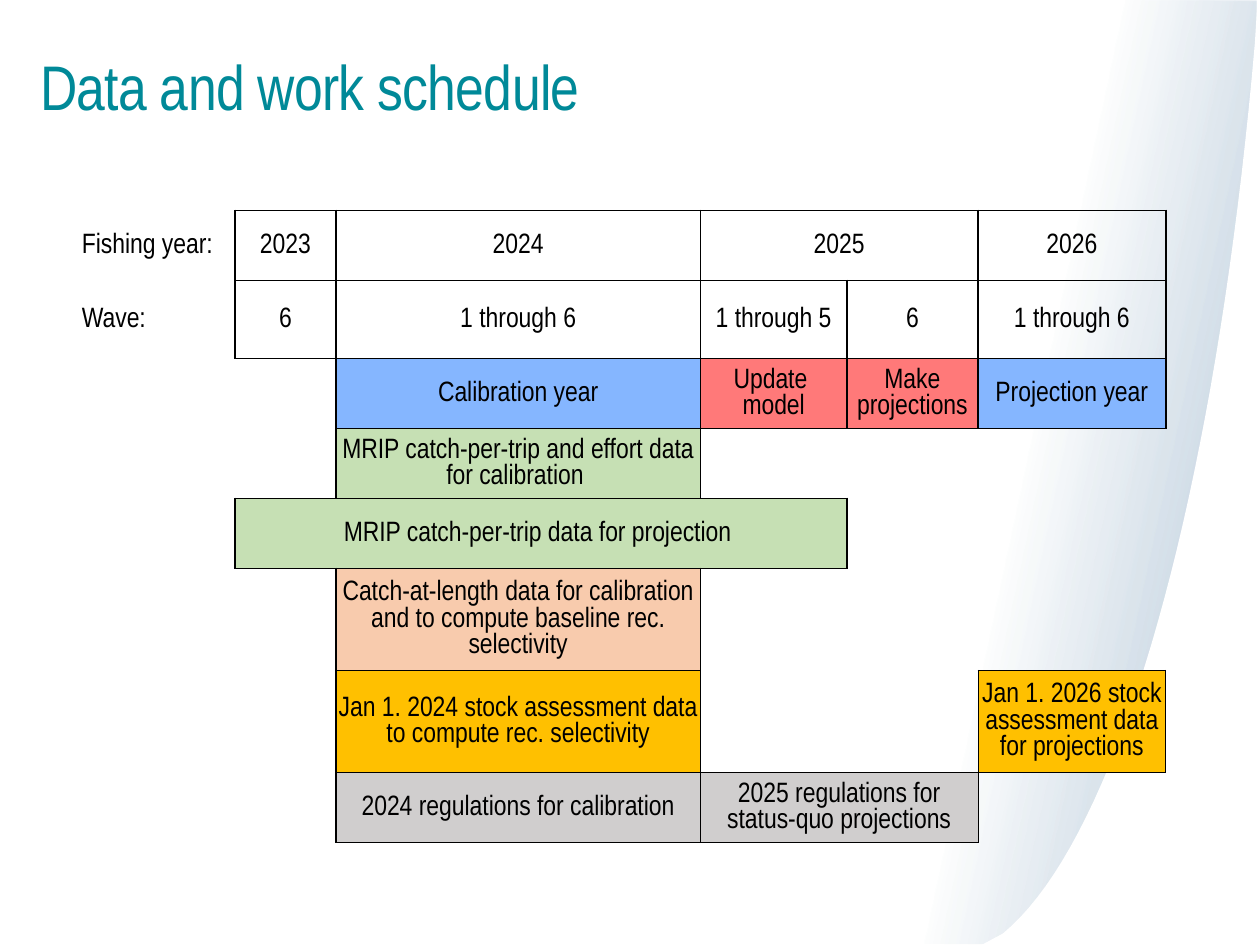
from lxml import etree
from pptx import Presentation
from pptx import util as u
from pptx.dml.color import RGBColor
from pptx.enum import text
from pptx.oxml.ns import qn

Pt = u.Pt
LEFT, CENTER = text.PP_ALIGN.LEFT, text.PP_ALIGN.CENTER
BLUE, RED, GREEN = "85B6FF", "FF7979", "C6E0B4"
PEACH, GOLD, GREY = "F8CBAD", "FFC000", "D0CECE"

COLS = [88.2, 57.7, 208.3, 83.7, 74.9, 107.4]
ROWS = [40, 44.6, 40, 40, 40, 40, 40, 40]
LABELS = ["Fishing year:", "Wave:"]
# (row, column, columns spanned, text, fill)
BOXES = [
    (0, 1, 1, "2023", None),
    (0, 2, 1, "2024", None),
    (0, 3, 2, "2025", None),
    (0, 5, 1, "2026", None),
    (1, 1, 1, "6", None),
    (1, 2, 1, "1 through 6", None),
    (1, 3, 1, "1 through 5", None),
    (1, 4, 1, "6", None),
    (1, 5, 1, "1 through 6", None),
    (2, 2, 1, "Calibration year", BLUE),
    (2, 3, 1, "Update \nmodel", RED),
    (2, 4, 1, "Make projections", RED),
    (2, 5, 1, "Projection year", BLUE),
    (3, 2, 1, "MRIP catch-per-trip and effort data for calibration ", GREEN),
    (4, 1, 3, "MRIP catch-per-trip data for projection ", GREEN),
    (5, 2, 1, "Catch-at-length data for calibration and to compute baseline rec. selectivity", PEACH),
    (6, 2, 1, "Jan 1. 2024 stock assessment data to compute rec. selectivity", GOLD),
    (6, 5, 1, "Jan 1. 2026 stock assessment data for projections", GOLD),
    (7, 2, 1, "2024 regulations for calibration", GREY),
    (7, 3, 2, "2025 regulations for status-quo projections", GREY),
]


def rgb(value):
    return RGBColor.from_string(value)


def curve(p0, p1, p2, p3, steps=40):
    """Points along a cubic Bezier, without its start."""
    points = []
    for i in range(1, steps + 1):
        t = i / steps
        weights = ((1 - t) ** 3, 3 * t * (1 - t) ** 2, 3 * t * t * (1 - t), t ** 3)
        points.append(tuple(sum(w * p[k] for w, p in zip(weights, (p0, p1, p2, p3)))
                            for k in (0, 1)))
    return points


def set_border(cell, side, width):
    """Draw one cell side (L, R, T or B) in black; width 0 hides it."""
    ln = etree.SubElement(cell._tc.get_or_add_tcPr(), qn(f"a:ln{side}"), w=str(Pt(width)))
    if width:
        fill = etree.SubElement(ln, qn("a:solidFill"))
        etree.SubElement(fill, qn("a:srgbClr"), val="000000")
    else:
        etree.SubElement(ln, qn("a:noFill"))


class Deck:
    font = "Arial Narrow"

    def __init__(self, width, height):
        self.prs = Presentation()
        self.prs.slide_width, self.prs.slide_height = Pt(width), Pt(height)
        self.s = self.prs.slides.add_slide(self.prs.slide_layouts[6])

    def add_text(self, tf, content, size, color, align=LEFT, spacing=None):
        for i, line in enumerate(content.split("\n")):
            p = tf.paragraphs[0] if i == 0 else tf.add_paragraph()
            p.alignment, p.line_spacing = align, spacing
            r = p.add_run()
            r.text = line
            for name, value in {"name": self.font, "size": Pt(size)}.items():
                setattr(r.font, name, value)
            r.font.color.rgb = rgb(color)

    def title(self, content, x, y, w, h):
        tf = self.s.shapes.add_textbox(Pt(x), Pt(y), Pt(w), Pt(h)).text_frame
        tf.word_wrap = True
        self.add_text(tf, content, 36, "008998", spacing=0.9)
        tf.paragraphs[0].runs[0].font._element.set("spc", "-40")

    def outline(self, points):
        points = [(Pt(x), Pt(y)) for x, y in points]
        builder = self.s.shapes.build_freeform(*points[0])
        builder.add_line_segments(points[1:], close=True)
        sp = builder.convert_to_shape()
        sp.shadow.inherit = False
        sp.line.fill.background()
        return sp

    def solid(self, points, color):
        fill = self.outline(points).fill
        fill.solid()
        fill.fore_color.rgb = rgb(color)

    def fade(self, points, color, stops, angle):
        """Gradient outline; stops are (position, opacity) fractions."""
        sp = self.outline(points)
        sp.fill.gradient()
        sp.fill.gradient_angle = 360 - angle
        for stop, (position, _) in zip(sp.fill.gradient_stops, stops):
            stop.position = position
            stop.color.rgb = rgb(color)
        for clr, (_, opacity) in zip(sp.element.iter(qn("a:srgbClr")), stops):
            etree.SubElement(clr, qn("a:alpha"), val=str(round(opacity * 100000)))

    def cell_text(self, cell, content, align):
        style = {"margin_left": Pt(0.7), "margin_right": Pt(0.7), "margin_top": Pt(0.7),
                 "margin_bottom": 0, "vertical_anchor": text.MSO_ANCHOR.MIDDLE}
        for name, value in style.items():
            setattr(cell, name, value)
        self.add_text(cell.text_frame, content, 16, "000000", align)

    def schedule(self, x, y):
        frame = self.s.shapes.add_table(len(ROWS), len(COLS), Pt(x), Pt(y),
                                        Pt(sum(COLS)), Pt(sum(ROWS)))
        table = frame.table
        table.first_row = table.horz_banding = False
        for column, width in zip(table.columns, COLS):
            column.width = Pt(width)
        for row, height in zip(table.rows, ROWS):
            row.height = Pt(height)

        owner = {(r, c + i): (r, c, span) for r, c, span, _, _ in BOXES for i in range(span)}
        fills = {(r, c): fill for r, c, _, _, fill in BOXES}
        for r in range(len(ROWS)):
            for c in range(len(COLS)):
                self.cell_frame(table.cell(r, c), r, c, owner)
                fill = table.cell(r, c).fill
                color = fills.get(owner.get((r, c), ())[:2])
                if color:
                    fill.solid()
                    fill.fore_color.rgb = rgb(color)
                else:
                    fill.background()

        for r, label in enumerate(LABELS):
            self.cell_text(table.cell(r, 0), label, LEFT)
        for r, c, span, content, _ in BOXES:
            if span > 1:
                table.cell(r, c).merge(table.cell(r, c + span - 1))
            self.cell_text(table.cell(r, c), content, CENTER)

    def cell_frame(self, cell, r, c, owner):
        """Rule every side that touches a box, thinner among the lower rows."""
        own = owner.get((r, c))
        first, end = (own[1], own[1] + own[2]) if own else (c, c + 1)
        upright = {"L": (first, (r, first - 1)), "R": (end, (r, end))}
        level = {"T": (r, (r - 1, c)), "B": (r + 1, (r + 1, c))}
        for side, (line, neighbour) in {**upright, **level}.items():
            if side in upright:
                thin = line >= 3 and r >= 3 and r != 4
            else:
                thin = line >= 6
            drawn = own or neighbour in owner
            set_border(cell, side, (0.5 if thin else 1) if drawn else 0)


def main():
    deck = Deck(720, 540)
    deck.fade([(706.3, 540), (503.3, 539.3), (627.8, 0), (717.8, 0.7)]
              + curve((717.8, 0.7), (719.3, 251.3), (695.5, 342.7), (706.3, 540)),
              "07477D", [(0.42, 0), (1, 0.34)], 12)
    deck.solid([(718.6, 0), (720, 0), (720, 540), (560.9, 540), (573.1, 533.5)]
               + curve((573.1, 533.5), (640.1, 478.1), (694.8, 281.5), (717.1, 24.5)),
               "FFFFFF")
    deck.title("Data and work schedule", 15.8, 28.8, 654.5, 74.9)
    deck.schedule(46.1, 120.2)
    deck.prs.save("out.pptx")


if __name__ == "__main__":
    main()
